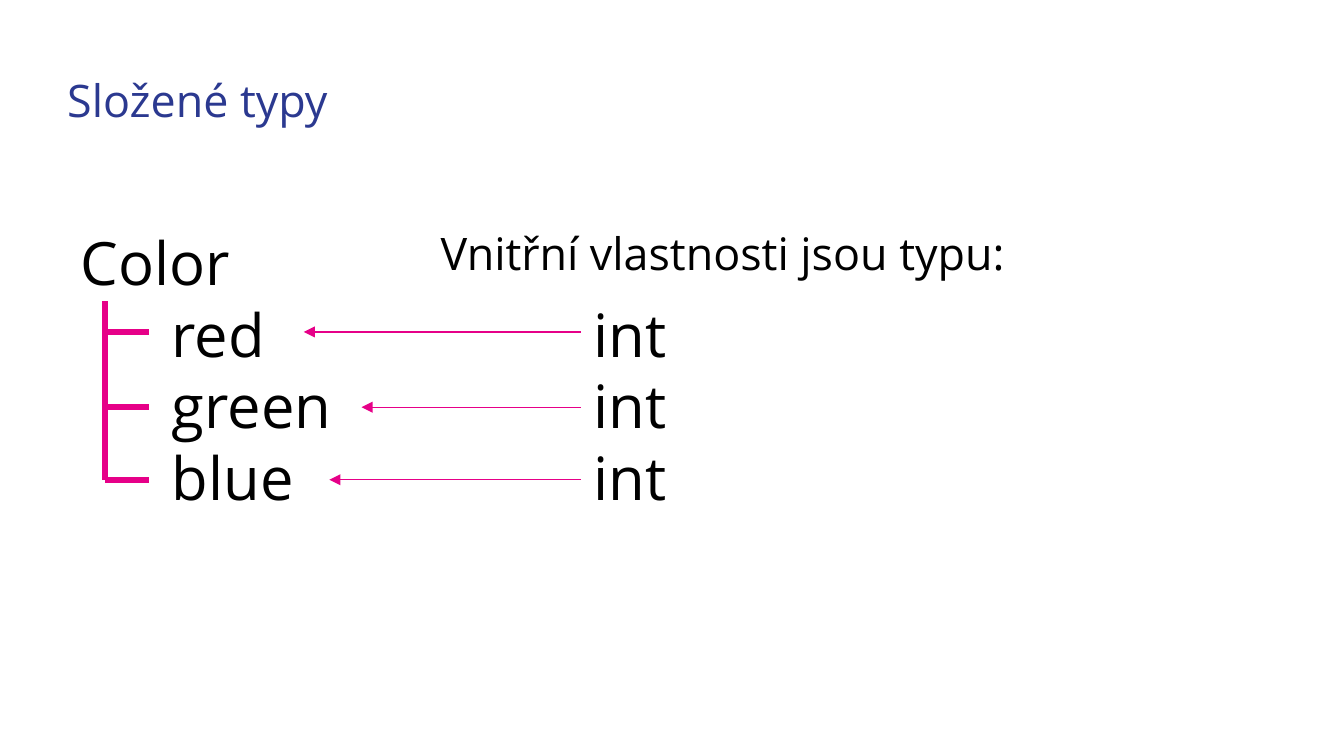
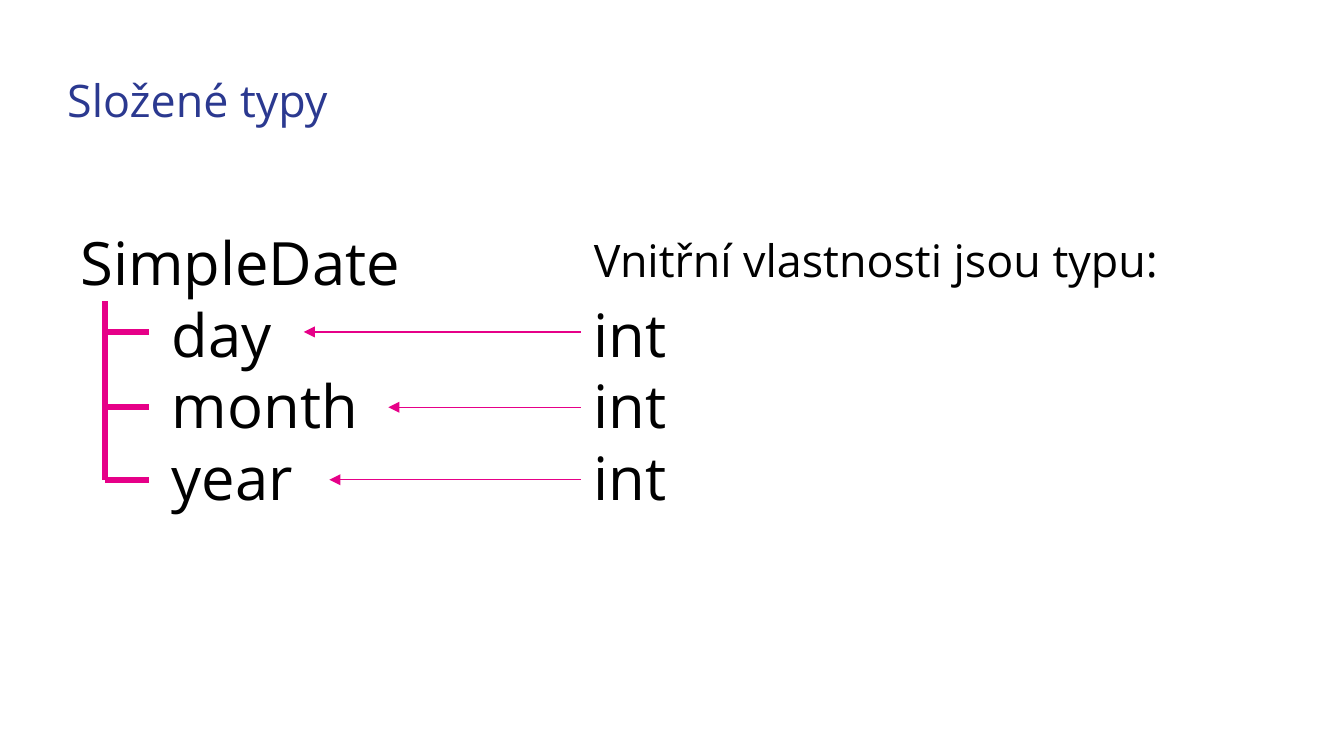
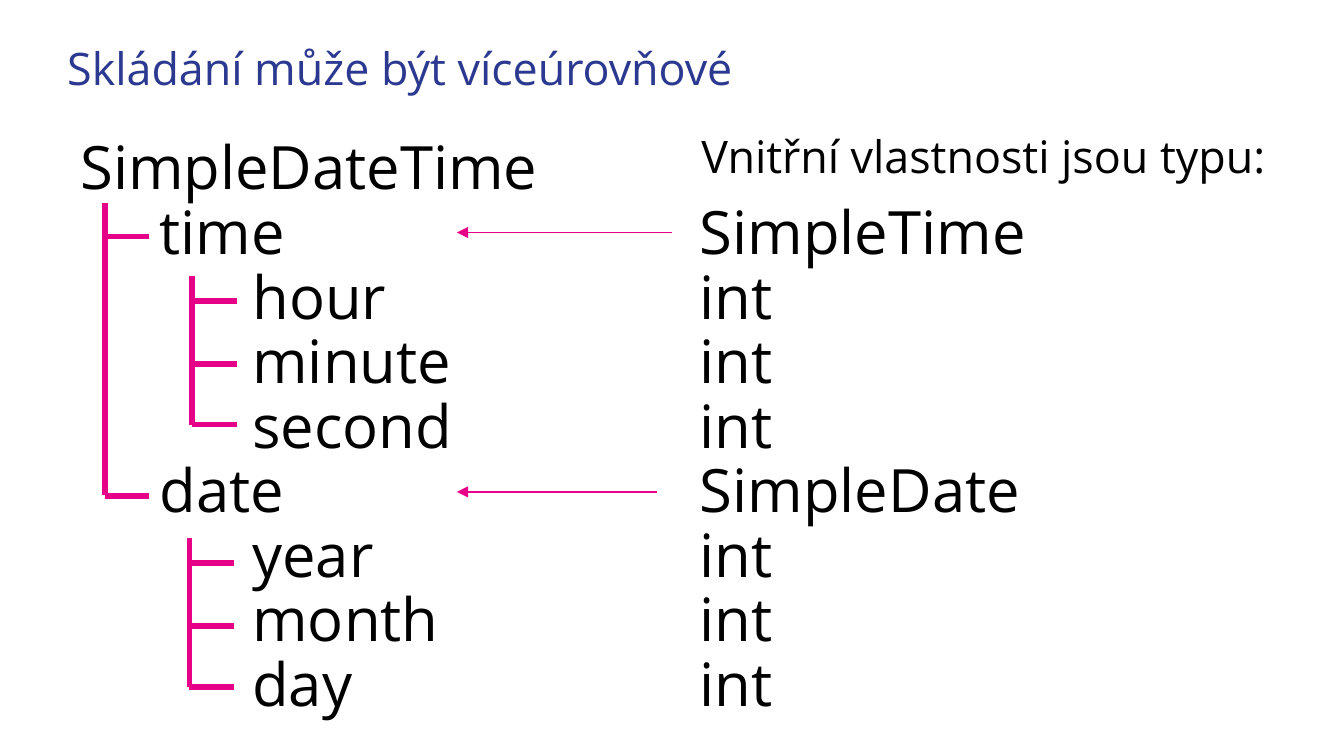
from dataclasses import dataclass

from lxml.etree import SubElement
from pptx import Presentation
from pptx.dml.color import RGBColor
from pptx.enum.shapes import MSO_CONNECTOR
from pptx.enum.text import MSO_ANCHOR, MSO_AUTO_SIZE, PP_ALIGN
from pptx.oxml.ns import qn
from pptx.util import Pt

EMU_PER_PX = 9144


@dataclass(frozen=True)
class Theme:
    font: str = "Open Sans"
    title_color: RGBColor = RGBColor(0x2B, 0x39, 0x90)
    text_color: RGBColor = RGBColor(0, 0, 0)
    accent: RGBColor = RGBColor(0xE6, 0x00, 0x88)
    background: RGBColor = RGBColor(255, 255, 255)
    title_size: int = 24
    caption_size: int = 24
    tree_size: int = 32
    branch_width: float = 3
    arrow_width: float = 0.75


THEME = Theme()
CAPTION = "Vnitřní vlastnosti jsou typu:"
TRUNK_LEFT = 78
TICK = 33


def px(length):
    return length * EMU_PER_PX


def place(shape, left, top, width, height):
    shape.left, shape.top = px(left), px(top)
    shape.width, shape.height = px(width), px(height)


def add_span(para, text, size, color):
    span = para.add_run()
    span.text = text
    span.font.name = THEME.font
    span.font.size = Pt(size)
    span.font.color.rgb = color


def add_page(deck, title, title_top):
    page = deck.slides.add_slide(deck.slide_layouts[5])
    page.background.fill.solid()
    page.background.fill.fore_color.rgb = THEME.background
    box = page.shapes.title
    place(box, 50, title_top, 901, 51)
    frame = box.text_frame
    frame.word_wrap = True
    frame.auto_size = MSO_AUTO_SIZE.NONE
    frame.vertical_anchor = MSO_ANCHOR.TOP
    frame.margin_left = frame.margin_top = 0
    frame.margin_right = frame.margin_bottom = px(10)
    para = frame.paragraphs[0]
    para.alignment = PP_ALIGN.LEFT
    para.line_spacing = 1.15
    add_span(para, title, THEME.title_size, THEME.title_color)
    return page


def add_text_box(page, left, top, width, height):
    box = page.shapes.add_textbox(px(left), px(top), px(width), px(height))
    box.text_frame.word_wrap = True
    return box.text_frame


def add_caption(page, left, top):
    frame = add_text_box(page, left, top, 519, 51)
    add_span(frame.paragraphs[0], CAPTION, THEME.caption_size, THEME.text_color)


def set_tabs(para, stops):
    tab_list = SubElement(para._p.get_or_add_pPr(), qn("a:tabLst"))
    for stop in stops:
        SubElement(tab_list, qn("a:tab"), pos=str(px(stop)), algn="l")


def add_type_tree(page, area, stops, rows, line_spacing=None):
    frame = add_text_box(page, *area)
    for index, (level, name, kind) in enumerate(rows):
        para = frame.add_paragraph() if index else frame.paragraphs[0]
        set_tabs(para, stops)
        para.line_spacing = line_spacing
        text = "\t" * level + name + (f"\t{kind}" if kind else "")
        add_span(para, text, THEME.tree_size, THEME.text_color)


def add_line(shapes, start, end, width):
    line = shapes.add_connector(
        MSO_CONNECTOR.STRAIGHT, *map(px, start), *map(px, end))
    line.line.color.rgb = THEME.accent
    line.line.width = Pt(width)
    SubElement(line._element.spPr, qn("a:effectLst"))
    return line


def add_branch(page, left, top, bottom, ticks):
    shapes = page.shapes.add_group_shape().shapes
    add_line(shapes, (left, top), (left, bottom), THEME.branch_width)
    for tick in ticks:
        add_line(shapes, (left, tick), (left + TICK, tick), THEME.branch_width)


def add_arrow(page, start, end, y):
    arrow = add_line(page.shapes, (start, y), (end, y), THEME.arrow_width)
    SubElement(arrow.line._get_or_add_ln(), qn("a:tailEnd"), type="triangle")


def add_simple_type(deck, name, fields, caption_at, arrow_ends):
    page = add_page(deck, "Složené typy", 48)
    rows = [(0, name, "")] + [(1, field, "int") for field in fields]
    add_type_tree(page, (50, 163, 469, 236), (68, 382), rows)
    field_lines = (247, 303, 357)
    add_branch(page, TRUNK_LEFT, 224, 357, field_lines)
    add_caption(page, *caption_at)
    for end, y in zip(arrow_ends, field_lines):
        add_arrow(page, 432, end, y)


def add_nested_type(deck):
    page = add_page(deck, "Skládání může být víceúrovňové", 24)
    rows = [
        (0, "SimpleDateTime", ""),
        (1, "time", "SimpleTime"),
        (2, "hour", "int"),
        (2, "minute", "int"),
        (2, "second", "int"),
        (1, "date", "SimpleDate"),
        (2, "year", "int"),
        (2, "month", "int"),
        (2, "day", "int"),
    ]
    add_type_tree(page, (50, 98, 750, 464), (59, 128, 461), rows, 0.9)
    add_caption(page, 512, 91)
    add_arrow(page, 500, 340, 173)
    add_arrow(page, 489, 340, 366)
    add_branch(page, TRUNK_LEFT, 151, 368, (176, 369))
    for left, top in ((143, 205), (141, 400)):
        ticks = [top + offset for offset in (19, 66, 111)]
        add_branch(page, left, top, ticks[-1], ticks)


def main():
    deck = Presentation()
    deck.slide_width = px(1000)
    deck.slide_height = px(1000) * 9 // 16
    add_simple_type(deck, "Color", ("red", "green", "blue"),
                    (318, 163), (226, 269, 245))
    add_simple_type(deck, "SimpleDate", ("day", "month", "year"),
                    (432, 168), (226, 289, 245))
    add_nested_type(deck)
    deck.save("out.pptx")


if __name__ == "__main__":
    main()
